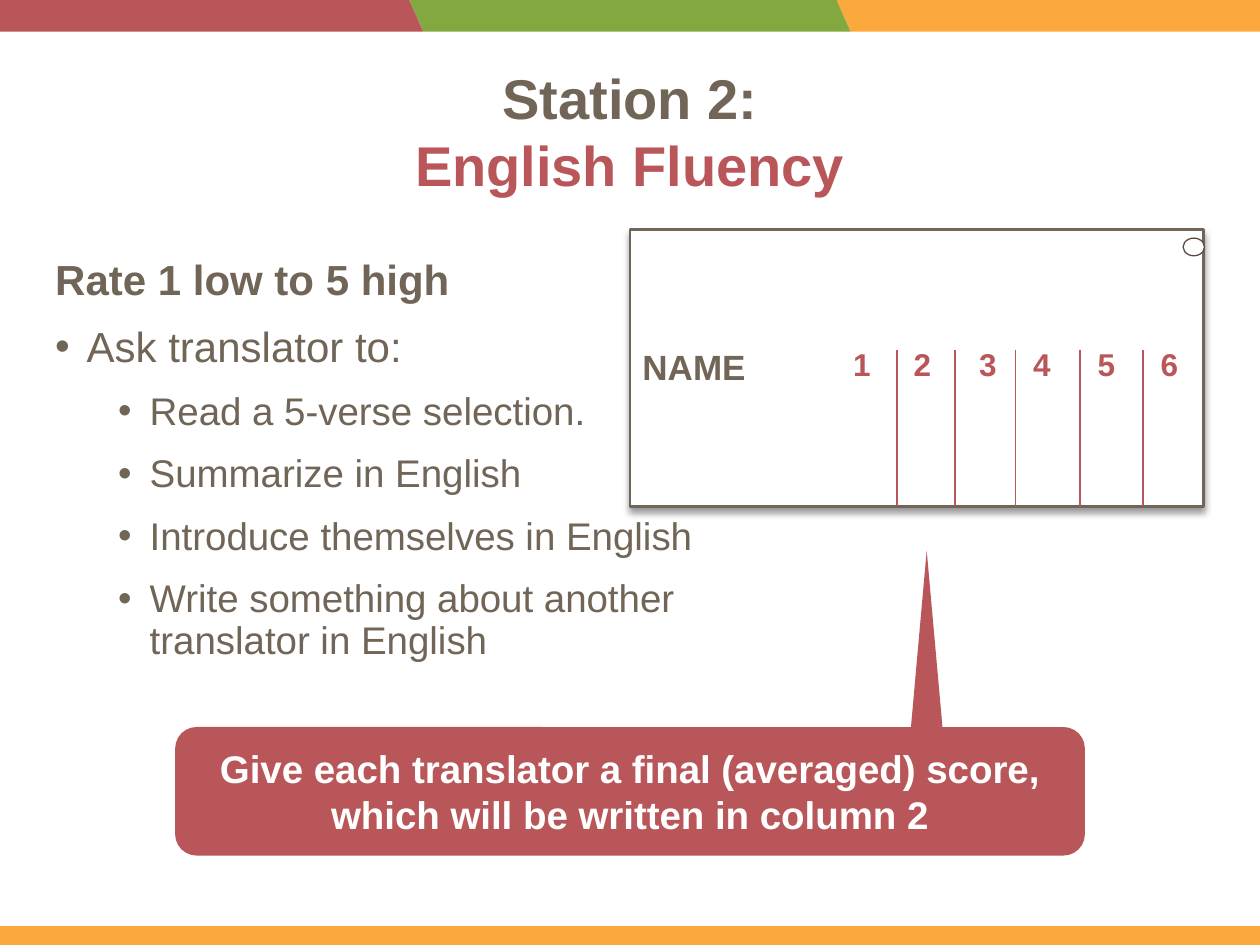
from lxml.etree import SubElement
from pptx import Presentation
from pptx.dml.color import RGBColor
from pptx.enum.shapes import MSO_CONNECTOR, MSO_SHAPE
from pptx.enum.text import MSO_ANCHOR, PP_ALIGN
from pptx.oxml.ns import qn
from pptx.util import Inches, Pt

RED = RGBColor(0xB9, 0x56, 0x59)
GREEN = RGBColor(0x83, 0xA8, 0x3F)
ORANGE = RGBColor(0xFB, 0xA9, 0x3D)
BROWN = RGBColor(0x71, 0x65, 0x57)
DARK_BROWN = RGBColor(0x5B, 0x4A, 0x42)
WHITE = RGBColor(0xFF, 0xFF, 0xFF)

deck = Presentation()
deck.slide_width = Inches(10)
deck.slide_height = Inches(7.5)
page = deck.slides.add_slide(deck.slide_layouts[6])


def add_block(kind, left, top, width, height, fill, line=None, weight=1):
    block = page.shapes.add_shape(
        kind, Inches(left), Inches(top), Inches(width), Inches(height))
    block.shadow.inherit = False
    block.fill.solid()
    block.fill.fore_color.rgb = fill
    if line is None:
        block.line.fill.background()
    else:
        block.line.color.rgb = line
        block.line.width = Pt(weight)
    return block


def add_span(para, text, size, color, bold=True):
    span = para.add_run()
    span.text = text
    span.font.name = "Arial"
    span.font.size = Pt(size)
    span.font.bold = bold
    span.font.color.rgb = color


# Footer bar and slanted header bands, the green one on top
add_block(MSO_SHAPE.RECTANGLE, 0, 7.35, 10, 0.15, ORANGE)
for left, color in [(6.64, ORANGE), (-0.14, RED), (3.25, GREEN)]:
    band = add_block(MSO_SHAPE.PARALLELOGRAM, left, 0, 3.5, 0.25, color)
    band.adjustments[0] = 0.44
    band._element.spPr.find(qn("a:xfrm")).set("flipH", "1")

# Title
title = page.shapes.add_textbox(Inches(0.69), Inches(0.42), Inches(8.62), Inches(1.45))
title.text_frame.word_wrap = True
title.text_frame.margin_top = Inches(0.08)
para = title.text_frame.paragraphs[0]
para.alignment = PP_ALIGN.CENTER
add_span(para, "Station 2:", 32, BROWN)
para.add_line_break()
add_span(para, "English Fluency", 32, RED)

# Instructions: text, size, bold, left indent (None for no bullet)
instructions = [
    ("Rate 1 low to 5 high", 24, True, None),
    ("Ask translator to:", 24, False, 0.25),
    ("Read a 5-verse selection.", 22, False, 0.75),
    ("Summarize in English", 22, False, 0.75),
    ("Introduce themselves in English", 22, False, 0.75),
    ("Write something about another translator in English", 22, False, 0.75),
]
body = page.shapes.add_textbox(Inches(0.34), Inches(2.01), Inches(5.37), Inches(3.68))
body.text_frame.word_wrap = True
for index, (text, size, bold, indent) in enumerate(instructions):
    para = body.text_frame.add_paragraph() if index else body.text_frame.paragraphs[0]
    para.line_spacing = 0.9
    para.space_after = Pt(12)
    if indent is not None:
        properties = para._p.get_or_add_pPr()
        properties.set("marL", str(Inches(indent)))
        properties.set("indent", str(Inches(-0.25)))
        SubElement(properties, qn("a:buFont"), typeface="Arial")
        SubElement(properties, qn("a:buChar"), char="•")
    add_span(para, text, size, BROWN, bold)

# Callout with its pointer
add_block(MSO_SHAPE.ISOSCELES_TRIANGLE, 7.23, 4.37, 0.25, 1.4, RED)
callout = add_block(MSO_SHAPE.ROUNDED_RECTANGLE, 1.39, 5.77, 7.22, 1.02, RED)
callout.text_frame.word_wrap = True
callout.text_frame.vertical_anchor = MSO_ANCHOR.MIDDLE
para = callout.text_frame.paragraphs[0]
para.alignment = PP_ALIGN.CENTER
add_span(para, "Give each translator a final (averaged) score, "
               "which will be written in column 2", 22, WHITE)

# Name card with a soft shadow below
card = add_block(MSO_SHAPE.RECTANGLE, 5, 1.82, 4.55, 2.2, WHITE, BROWN, 1.5)
effects = card._element.spPr.find(qn("a:effectLst"))
shadow = SubElement(effects, qn("a:outerShdw"), blurRad=str(Pt(4)), dist=str(Pt(3)),
                    dir="5400000", algn="ctr", rotWithShape="0")
shadow_color = SubElement(shadow, qn("a:srgbClr"), val="000000")
SubElement(shadow_color, qn("a:alpha"), val="40000")
card.text_frame.vertical_anchor = MSO_ANCHOR.TOP
card.text_frame.margin_top = Inches(0.92)
para = card.text_frame.paragraphs[0]
para.alignment = PP_ALIGN.LEFT
add_span(para, "NAME", 20, BROWN)

# Column dividers
for x in [7.12, 7.58, 8.06, 8.57, 9.07]:
    divider = page.shapes.add_connector(
        MSO_CONNECTOR.STRAIGHT, Inches(x), Inches(2.78), Inches(x), Inches(4.02))
    divider.line.color.rgb = RED
    divider.line.width = Pt(1)
    SubElement(divider._element.spPr, qn("a:effectLst"))

# Punch hole
add_block(MSO_SHAPE.OVAL, 9.39, 1.89, 0.17, 0.14, WHITE, DARK_BROWN, 0.75)

# Column numbers
for number, left in enumerate([6.63, 7.11, 7.63, 8.06, 8.57, 9.07], start=1):
    label = page.shapes.add_textbox(Inches(left), Inches(2.69), Inches(0.42), Inches(0.4))
    label.text_frame.word_wrap = True
    label.text_frame.vertical_anchor = MSO_ANCHOR.MIDDLE
    para = label.text_frame.paragraphs[0]
    para.alignment = PP_ALIGN.CENTER
    add_span(para, str(number), 18, RED)

deck.save("out.pptx")
